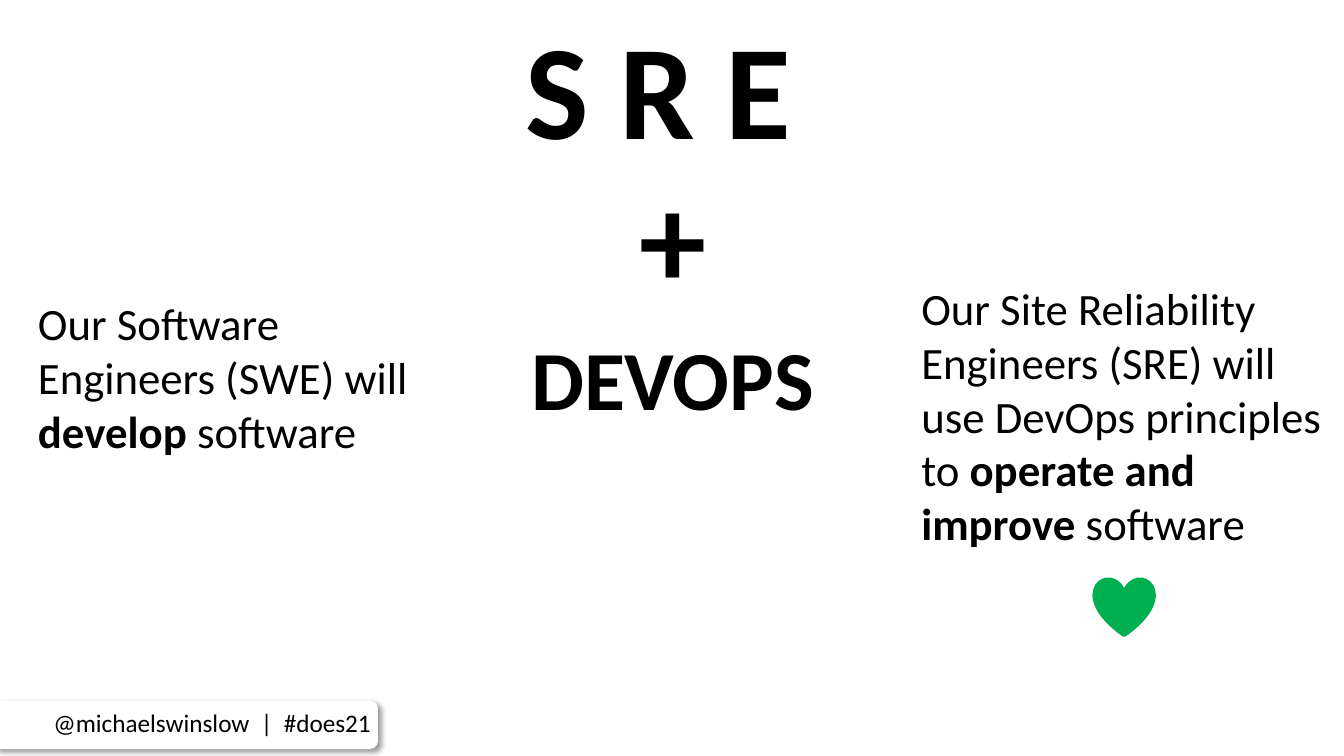
from lxml import etree
from pptx import Presentation
from pptx.dml.color import RGBColor
from pptx.enum.shapes import MSO_SHAPE
from pptx.enum.text import MSO_ANCHOR, MSO_AUTO_SIZE, PP_ALIGN
from pptx.oxml.ns import qn
from pptx.util import Pt

BLACK = RGBColor(0x00, 0x00, 0x00)
WHITE = RGBColor(0xFF, 0xFF, 0xFF)
GREEN = RGBColor(0x00, 0xB0, 0x50)
FONT = "Calibri"
LEFT, CENTER = PP_ALIGN.LEFT, PP_ALIGN.CENTER
TOP = MSO_ANCHOR.TOP
NO_AUTOFIT = MSO_AUTO_SIZE.NONE
ROUNDED, HEART = MSO_SHAPE.ROUNDED_RECTANGLE, MSO_SHAPE.HEART


def place(sp, x, y, w, h):
    sp.left, sp.top, sp.width, sp.height = Pt(x), Pt(y), Pt(w), Pt(h)


def write(tf, parts, size, align=LEFT, wrap=True):
    tf.auto_size = NO_AUTOFIT
    tf.word_wrap = wrap
    tf.vertical_anchor = TOP
    p = tf.paragraphs[0]
    p.alignment = align
    for text, bold in parts:
        r = p.add_run()
        r.text = text
        r.font.name = FONT
        r.font.size = Pt(size)
        r.font.bold = bold
        r.font.color.rgb = BLACK


def add_text(slide, box, parts, size, align=LEFT, wrap=True):
    sp = slide.shapes.add_textbox(*map(Pt, box))
    write(sp.text_frame, parts, size, align, wrap)


def add_shape(slide, kind, box, color):
    sp = slide.shapes.add_shape(kind, *map(Pt, box))
    sp.shadow.inherit = False
    sp.fill.solid()
    sp.fill.fore_color.rgb = color
    sp.line.fill.background()
    return sp


def add_shadow(sp):
    effects = sp._element.spPr.find(qn("a:effectLst"))
    shadow = etree.SubElement(
        effects, qn("a:outerShdw"), blurRad=str(Pt(4)), dist=str(Pt(3)),
        dir="2700000", algn="tl", rotWithShape="0")
    color = etree.SubElement(shadow, qn("a:srgbClr"), val=str(BLACK))
    etree.SubElement(color, qn("a:alpha"), val="40000")


def build_headline(slide, x, y, w):
    title = slide.shapes.title
    place(title, x, y, 443, 124)
    write(title.text_frame, [("S R E", True)], 96)
    add_text(slide, (x + (w - 110) / 2, y + 106.5, 110, 124),
             [("+", True)], 96, CENTER)
    add_text(slide, (x + 3, y + 229.5, w - 6, 80),
             [("DEVOPS", True)], 60, CENTER, False)


def build_software_role(slide, x, y, w, h):
    add_text(slide, (x, y, w, h),
             [("Our Software Engineers (SWE) will ", False),
              ("develop", True), (" software", False)], 32)


def build_reliability_role(slide, x, y, w, h):
    add_text(slide, (x, y, w, h),
             [("Our Site Reliability Engineers (SRE) will use DevOps principles to ", False),
              ("operate and improve", True), (" software", False)], 32)
    heart = add_shape(slide, HEART, (x + 131, y + h + 15.5, 42, 40), GREEN)
    heart.line.color.rgb = GREEN
    heart.line.width = Pt(3)


def build_handle_tag(slide, x, y, w, h):
    add_shadow(add_shape(slide, ROUNDED, (x, y, w, h), WHITE))
    add_text(slide, (x + 36, y + 1.5, 248, 29),
             [("@michaelswinslow  |  #does21", False)], 18, LEFT, False)


def main():
    prs = Presentation()
    prs.slide_width, prs.slide_height = Pt(960), Pt(540)
    slide = prs.slides.add_slide(prs.slide_layouts[5])
    build_headline(slide, 368, 0, 225)
    build_software_role(slide, 20, 208, 289, 124)
    build_reliability_role(slide, 651, 197, 304, 201)
    build_handle_tag(slide, -5, 500.5, 275, 34.5)
    prs.save("out.pptx")


if __name__ == "__main__":
    main()
